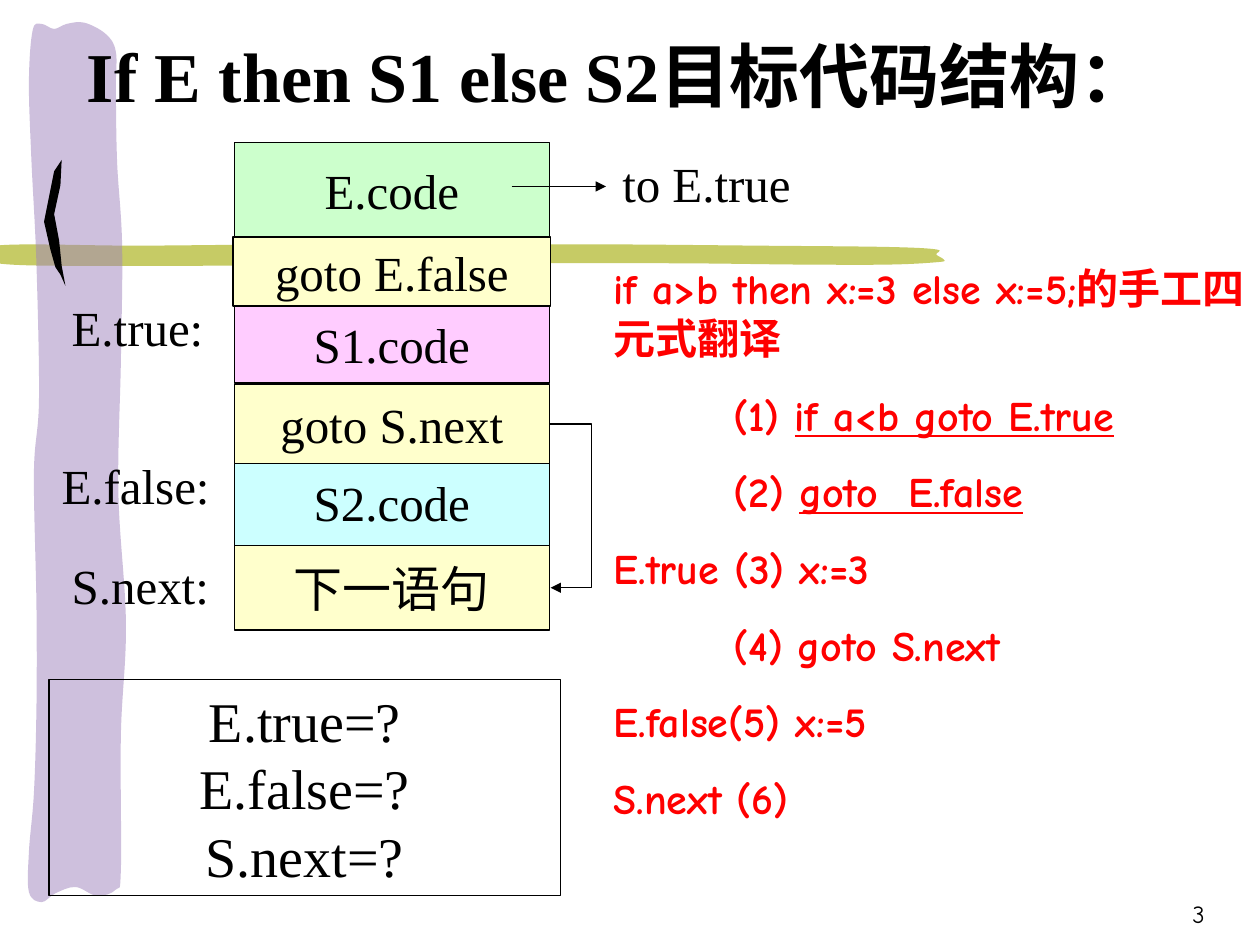
from lxml import etree
from pptx import Presentation
from pptx.dml.color import RGBColor
from pptx.enum import shapes, text
from pptx.oxml.ns import qn
from pptx.util import Inches, Pt

SERIF, HAND = "Times New Roman", "Comic Neue"
LEFT, MID, RIGHT = text.PP_ALIGN.LEFT, text.PP_ALIGN.CENTER, text.PP_ALIGN.RIGHT

TITLE = "If E then S1 else S2目标代码结构："

# name, left, top, width, height, fill; later ones cover earlier ones
BLOCKS = [
    ("E.code", 1.86, 1.13, 2.5, 0.75, "CCFFCC"),
    ("S1.code", 1.86, 2.42, 2.5, 0.62, "FFCCFF"),
    ("S2.code", 1.86, 3.59, 2.5, 0.78, "CCFFFF"),
    ("goto S.next", 1.86, 3.05, 2.5, 0.63, "FFFFCC"),
    ("下一语句", 1.86, 4.33, 2.5, 0.67, "FFFFCC"),
    ("goto E.false", 1.85, 1.88, 2.52, 0.55, "FFFFCC"),
]
LABELS = [
    ("E.true:", 0.47, 2.31, 1.58),
    ("E.false:", 0.39, 3.57, 1.58),
    ("S.next:", 0.47, 4.36, 1.58),
    ("to E.true", 4.84, 1.17, 1.75),
]
ASKED = ["E.true=?", "E.false=?", "S.next=?"]

# indent, plain part, underlined part
STEPS = [
    (0, "if a>b then x:=3 else x:=5;的手工四元式翻译", ""),
    (0.95, "(1) ", "if a<b goto E.true"),
    (0.95, "(2) ", "goto  E.false"),
    (0, "E.true (3) x:=3", ""),
    (0.95, "(4) goto S.next", ""),
    (0, "E.false(5) x:=5", ""),
    (0, "S.next (6)", ""),
]

BAND = [
    (6.01, 1.95), (7.02, 1.96), (7.43, 1.98), (7.43, 2.02), (7.49, 2.06),
    (7.45, 2.08), (7.06, 2.1), (6.35, 2.1), (5.41, 2.09), (4.14, 2.09),
    (2.98, 2.1), (1.11, 2.11), (-0.02, 2.09), (-0.03, 1.95), (1.11, 1.95),
    (2.32, 1.94), (3.91, 1.94), (4.89, 1.94),
]
STRIP = [
    (0.29, 5.61), (0.29, 4.81), (0.27, 3.75), (0.31, 3.17), (0.29, 2.1),
    (0.25, 1.27), (0.23, 0.65), (0.26, 0.24), (0.33, 0.19), (0.43, 0.23),
    (0.53, 0.19), (0.67, 0.18), (0.84, 0.27), (0.92, 0.41), (0.92, 0.71),
    (0.93, 1.29), (0.97, 1.95), (0.96, 2.86), (0.94, 3.91), (1, 4.95),
    (0.96, 5.83), (0.96, 6.9), (0.92, 7.06), (0.77, 7.11), (0.6, 7.04),
    (0.44, 7.09), (0.33, 7.16), (0.23, 7.08), (0.23, 6.76), (0.27, 6.29),
]
MARK = [
    (0.49, 1.27), (0.48, 1.47), (0.43, 1.7), (0.47, 1.91), (0.49, 2.11),
    (0.52, 2.27), (0.48, 2.18), (0.44, 2.12), (0.4, 1.98), (0.35, 1.76),
    (0.39, 1.56), (0.43, 1.36),
]


def color(code):
    return RGBColor.from_string(code)


def bend(shape):
    """Turn the straight sides of a closed freeform into smooth curves."""
    sides = list(shape.element.iter(qn("a:lnTo")))
    pts = [(int(side[0].get("x")), int(side[0].get("y"))) for side in sides]
    for i, side in enumerate(sides):
        a, b, c, d = (pts[(i + k) % len(pts)] for k in (-2, -1, 0, 1))
        lead = [q + (r - p) // 6 for p, q, r in zip(a, b, c)]
        trail = [r - (s - q) // 6 for q, r, s in zip(b, c, d)]
        side.tag = qn("a:cubicBezTo")
        for n, (x, y) in enumerate((lead, trail)):
            side.insert(n, etree.Element(qn("a:pt"), x=str(x), y=str(y)))


def outline(pts, fill, alpha=None, curved=True):
    first, *rest = [(Inches(x), Inches(y)) for x, y in pts]
    pen = slide.shapes.build_freeform(*first)
    pen.add_line_segments(rest + [first])
    shape = pen.convert_to_shape()
    shape.shadow.inherit = False
    shape.line.fill.background()
    shape.fill.solid()
    shape.fill.fore_color.rgb = color(fill)
    if curved:
        bend(shape)
    if alpha:
        tone = shape.element.spPr.find(".//" + qn("a:srgbClr"))
        etree.SubElement(tone, qn("a:alpha"), val=str(alpha * 1000))


def place(shape, x, y, w, h):
    shape.left, shape.top, shape.width, shape.height = map(Inches, (x, y, w, h))


def write(shape, lines, size=28, font=SERIF, ink="000000", bold=False,
          align=LEFT, anchor=text.MSO_ANCHOR.TOP, wrap=True, gap=0):
    """Fill shape with lines, each a string or (indent, plain, underlined)."""
    frame = shape.text_frame
    frame.auto_size = text.MSO_AUTO_SIZE.NONE
    frame.word_wrap, frame.vertical_anchor = wrap, anchor
    for i, line in enumerate(lines):
        para = frame.add_paragraph() if i else frame.paragraphs[0]
        para.alignment, para.space_before = align, Pt(gap)
        indent, *parts = (0, line, "") if isinstance(line, str) else line
        props = para._p.get_or_add_pPr()
        props.set("marL", str(Inches(indent)))
        props.set("indent", "0")
        etree.SubElement(props, qn("a:buNone"))
        for part, under in zip(parts, (False, True)):
            if part:
                run = para.add_run()
                run.text = part
                run.font.size, run.font.name = Pt(size), font
                run.font.bold, run.font.underline = bold, under
                run.font.color.rgb = color(ink)


def label(line, x, y, w, h=0.57, **style):
    box = slide.shapes.add_textbox(*map(Inches, (x, y, w, h)))
    write(box, [line], **style)


def block(lines, x, y, w, h, fill=None, size=28):
    box = slide.shapes.add_shape(shapes.MSO_SHAPE.RECTANGLE,
                                 *map(Inches, (x, y, w, h)))
    box.shadow.inherit = False
    box.line.color.rgb, box.line.width = color("000000"), Pt(0.75)
    if fill:
        box.fill.solid()
        box.fill.fore_color.rgb = color(fill)
    else:
        box.fill.background()
    write(box, lines, size=size, align=MID,
          anchor=text.MSO_ANCHOR.MIDDLE, wrap=False)
    return box


def arrow(kind, *ends):
    link = slide.shapes.add_connector(kind, *map(Inches, ends))
    link.line.color.rgb, link.line.width = color("000000"), Pt(0.75)
    etree.SubElement(link.line._get_or_add_ln(), qn("a:tailEnd"), type="triangle")
    etree.SubElement(link.element.spPr, qn("a:effectLst"))
    return link


deck = Presentation()
deck.slide_width, deck.slide_height = Inches(10), Inches(7.5)
slide = deck.slides.add_slide(deck.slide_layouts[1])
title, body = slide.placeholders

outline(BAND, "C6CB65")
outline(STRIP, "9F83BD", alpha=50)
outline(MARK, "000000", curved=False)

label("3", 7.58, 6.92, 2.08, 0.5, size=14, font=HAND, align=RIGHT,
      anchor=text.MSO_ANCHOR.BOTTOM)

boxes = {name: block([name], *spot) for name, *spot in BLOCKS}
for item in LABELS:
    label(*item)

arrow(shapes.MSO_CONNECTOR.STRAIGHT, 4.06, 1.48, 4.81, 1.48)
jump = arrow(shapes.MSO_CONNECTOR.ELBOW, 4.36, 3.36, 4.36, 4.67)
jump.begin_connect(boxes["goto S.next"], 3)
jump.end_connect(boxes["下一语句"], 3)
# The bend lies 0.34 inch out: 34 times the connector's width
jump.width = Inches(0.01)
guides = jump.element.spPr.find(qn("a:prstGeom")).get_or_add_avLst()
etree.SubElement(guides, qn("a:gd"), name="adj1", fmla="val 3400000")

block(ASKED, 0.39, 5.39, 4.06, 1.72, size=32)

place(body, 4.77, 2.03, 5.23, 4.55)
write(body, STEPS, size=24, font=HAND, ink="FF0000", bold=True, gap=15)
place(title, 0.59, 0.21, 9.21, 0.77)
write(title, [TITLE], size=40, bold=True)
for holder in (body, title):  # bring in front of the painted strokes
    holder.element.getparent().append(holder.element)

deck.save("out.pptx")
